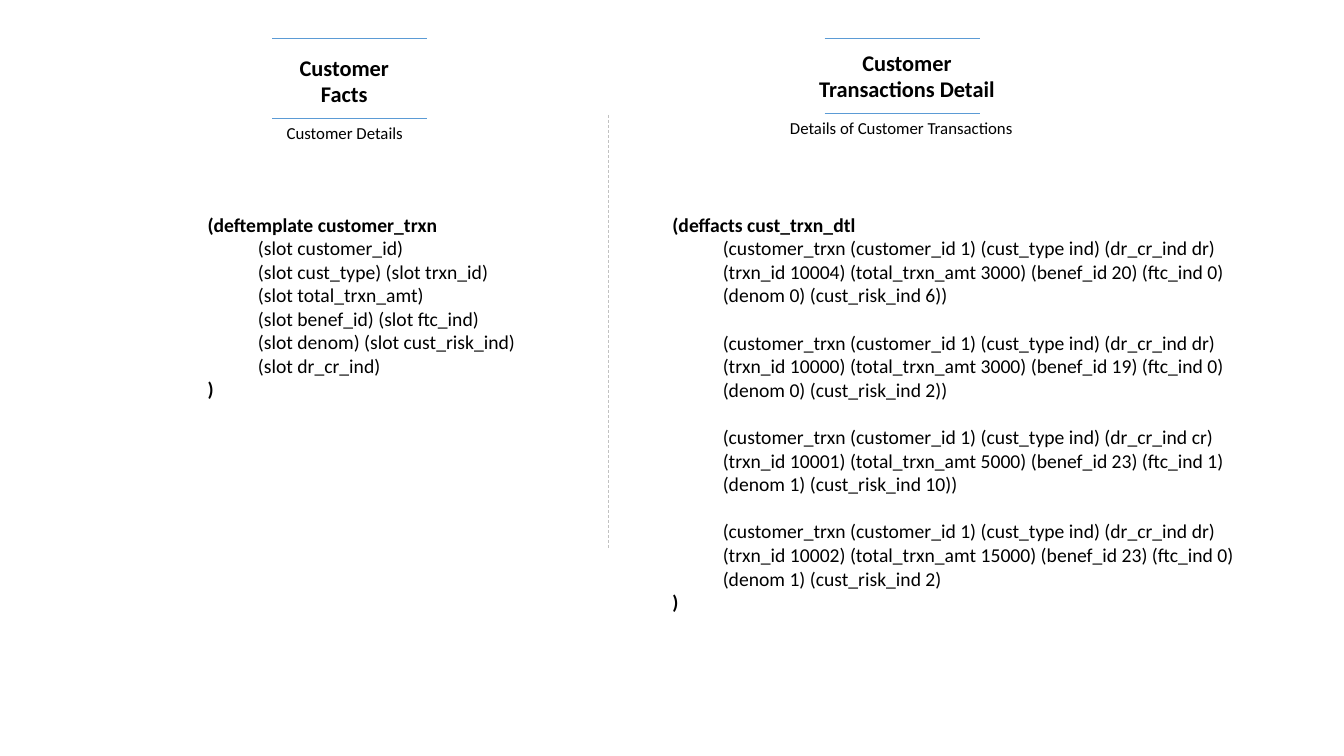
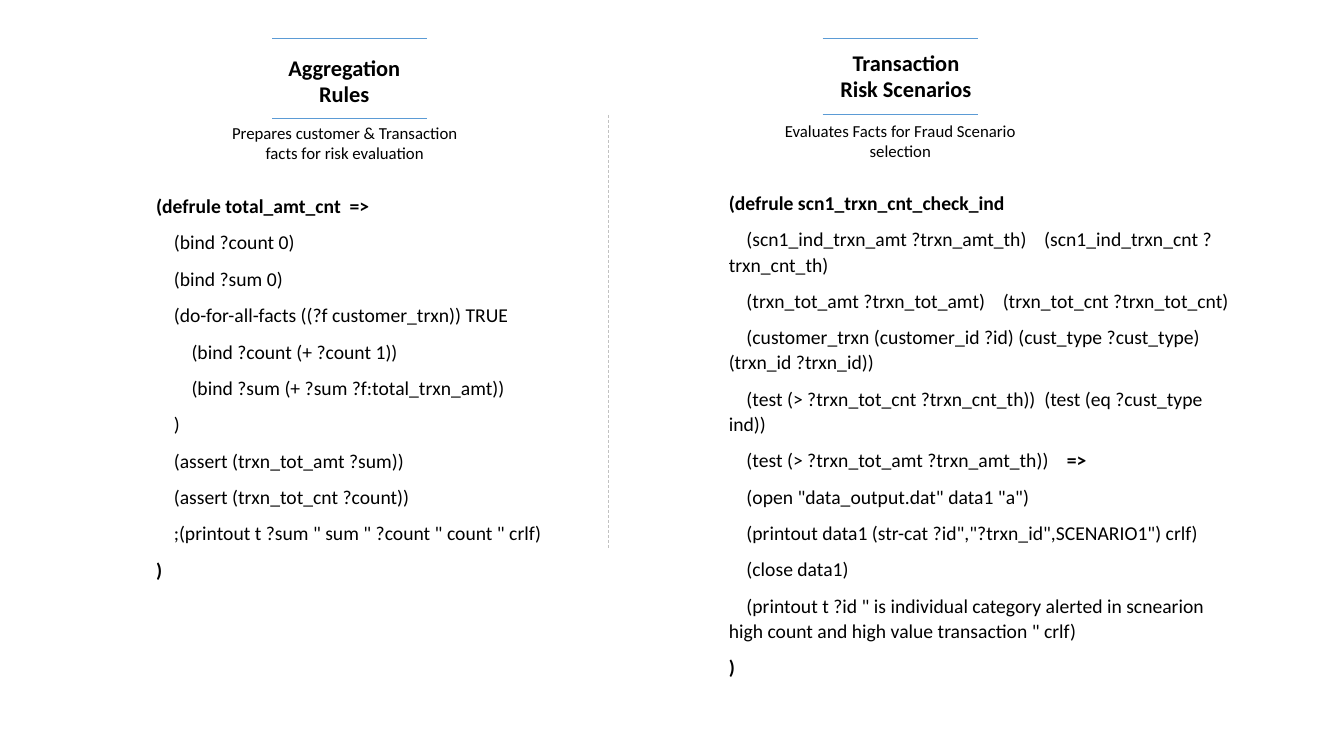
"""Build two slides that pair rule-engine code panels."""
from lxml.etree import SubElement
from pptx import Presentation
from pptx.dml.color import RGBColor
from pptx.enum.dml import MSO_LINE
from pptx.enum.shapes import MSO_CONNECTOR
from pptx.enum.text import MSO_ANCHOR, MSO_AUTO_SIZE, PP_ALIGN
from pptx.oxml.ns import qn
from pptx.util import Inches, Pt

FONT = "Calibri"
HUES = {"text": "000000", "rule": "5B9BD5", "split": "C1C1C1"}
TOP, SPAN = 0.38, 1.54

LEFT = {"rule": 2.7, "base": 1.17, "head": (2.7, 0.43, 1.43, 0.74)}
RIGHT = {"rule": 8.18, "base": 1.12, "head": (7.97, 0.38, 2.05, 0.74)}
RISK = {"rule": 8.16, "base": 1.13, "head": (7.96, 0.38, 2.05, 0.74)}

FACTS = {"indent": 0.5}
RULES = {"line": 1.07, "after": 8}

SLIDES = [
    [
        {
            "place": LEFT, "title": ["Customer Facts"],
            "note": "Customer Details", "note_at": (2.12, 1.17, 2.6, 0.3),
            "code_at": (1.96, 2.06, 3.52, 1.99), "style": FACTS,
            "code": [
                "(deftemplate customer_trxn",
                "(slot customer_id)",
                "(slot cust_type) (slot trxn_id)",
                "(slot total_trxn_amt)",
                "(slot benef_id) (slot ftc_ind)",
                "(slot denom) (slot cust_risk_ind) (slot dr_cr_ind)",
                ")",
            ],
        },
        {
            "place": RIGHT, "title": ["Customer Transactions Detail"],
            "note": "Details of Customer Transactions",
            "note_at": (7.64, 1.12, 2.6, 0.3),
            "code_at": (6.57, 2.06, 5.89, 4.11),
            "style": {"indent": 0.5, "gap": 17},
            "code": [
                "(deffacts cust_trxn_dtl",
                "(customer_trxn (customer_id 1) (cust_type ind) (dr_cr_ind dr) "
                "(trxn_id 10004) (total_trxn_amt 3000) (benef_id 20) (ftc_ind 0) "
                "(denom 0) (cust_risk_ind 6))",
                "(customer_trxn (customer_id 1) (cust_type ind) (dr_cr_ind dr) "
                "(trxn_id 10000) (total_trxn_amt 3000) (benef_id 19) (ftc_ind 0) "
                "(denom 0) (cust_risk_ind 2))",
                "(customer_trxn (customer_id 1) (cust_type ind) (dr_cr_ind cr) "
                "(trxn_id 10001) (total_trxn_amt 5000) (benef_id 23) (ftc_ind 1) "
                "(denom 1) (cust_risk_ind 10))",
                "(customer_trxn (customer_id 1) (cust_type ind) (dr_cr_ind dr) "
                "(trxn_id 10002) (total_trxn_amt 15000) (benef_id 23) (ftc_ind 0) "
                "(denom 1) (cust_risk_ind 2)",
                ")",
            ],
        },
    ],
    [
        {
            "place": LEFT, "title": ["Aggregation Rules"],
            "note": "Prepares customer & Transaction facts for risk evaluation",
            "note_at": (2.12, 1.17, 2.6, 0.5),
            "code_at": (1.45, 1.86, 4.03, 4), "style": RULES,
            "code": [
                "(defrule total_amt_cnt  =>",
                "    (bind ?count 0)",
                "    (bind ?sum 0)",
                "    (do-for-all-facts ((?f customer_trxn)) TRUE",
                "        (bind ?count (+ ?count 1))",
                "        (bind ?sum (+ ?sum ?f:total_trxn_amt))",
                "    )",
                "    (assert (trxn_tot_amt ?sum))",
                "    (assert (trxn_tot_cnt ?count))",
                '    ;(printout t ?sum " sum " ?count " count " crlf)',
                ")",
            ],
        },
        {
            "place": RISK, "title": ["Transaction", "Risk Scenarios"],
            "note": "Evaluates Facts for Fraud Scenario selection",
            "note_at": (7.63, 1.15, 2.6, 0.5),
            "code_at": (7.13, 1.83, 5.24, 5), "style": RULES,
            "code": [
                "(defrule scn1_trxn_cnt_check_ind",
                "    (scn1_ind_trxn_amt ?trxn_amt_th)    (scn1_ind_trxn_cnt ?trxn_cnt_th)",
                "    (trxn_tot_amt ?trxn_tot_amt)    (trxn_tot_cnt ?trxn_tot_cnt)",
                "    (customer_trxn (customer_id ?id) (cust_type ?cust_type) (trxn_id ?trxn_id))",
                "    (test (> ?trxn_tot_cnt ?trxn_cnt_th))  (test (eq ?cust_type ind))",
                ("    (test (> ?trxn_tot_amt ?trxn_amt_th))    ", "=>"),
                '    (open "data_output.dat" data1 "a")',
                '    (printout data1 (str-cat ?id","?trxn_id",SCENARIO1") crlf)',
                "    (close data1)",
                '    (printout t ?id " is individual category alerted in scnearion '
                'high count and high value transaction " crlf)',
                ")",
            ],
        },
    ],
]


def add_line(shapes, start, end, hue, dash=None):
    ends = [Inches(n) for n in (*start, *end)]
    line = shapes.add_connector(MSO_CONNECTOR.STRAIGHT, *ends)
    line.line.color.rgb = RGBColor.from_string(HUES[hue])
    line.line.width = Pt(0.5)
    if dash:
        line.line.dash_style = dash
    SubElement(line._element.spPr, qn("a:effectLst"))


def add_box(shapes, spot, grow=True):
    frame = shapes.add_textbox(*[Inches(n) for n in spot]).text_frame
    frame.word_wrap = True
    if grow:
        frame.auto_size = MSO_AUTO_SIZE.SHAPE_TO_FIT_TEXT
    else:
        frame.vertical_anchor = MSO_ANCHOR.MIDDLE
    return frame


def add_para(frame, index):
    return frame.add_paragraph() if index else frame.paragraphs[0]


def add_run(para, text, size, bold=False):
    run = para.add_run()
    run.text = text
    font = run.font
    font.name, font.size, font.bold = FONT, Pt(size), bold
    font.color.rgb = RGBColor.from_string(HUES["text"])


def add_label(frame, lines, size, bold=False):
    for index, text in enumerate(lines):
        para = add_para(frame, index)
        para.alignment = PP_ALIGN.CENTER
        add_run(para, text, size, bold)


def add_code(frame, lines, style):
    last = len(lines) - 1
    for index, line in enumerate(lines):
        para = add_para(frame, index)
        edge = index in (0, last)
        if "indent" in style and not edge:
            para.level = 1
            props = para._p.get_or_add_pPr()
            props.set("marL", str(Inches(style["indent"])))
            props.set("indent", "0")
        if "gap" in style and 1 < index < last:
            para.space_before = Pt(style["gap"])
        if "line" in style:
            para.line_spacing = style["line"]
            para.space_after = Pt(style["after"])
        parts = (line,) if isinstance(line, str) else line
        for order, text in enumerate(parts):
            add_run(para, text, 14, edge or order > 0)


def add_panel(shapes, panel):
    place = panel["place"]
    head = shapes.add_group_shape().shapes
    for y in (TOP, place["base"]):
        add_line(head, (place["rule"], y), (place["rule"] + SPAN, y), "rule")
    add_label(add_box(head, place["head"], grow=False), panel["title"], 16, True)
    add_label(add_box(shapes, panel["note_at"]), [panel["note"]], 12)
    add_code(add_box(shapes, panel["code_at"]), panel["code"], panel["style"])


def main():
    deck = Presentation()
    deck.slide_width, deck.slide_height = Inches(13.33), Inches(7.5)
    for panels in SLIDES:
        shapes = deck.slides.add_slide(deck.slide_layouts[6]).shapes
        add_line(shapes, (6.03, 1.14), (6.03, 5.44), "split", MSO_LINE.DASH)
        for panel in panels:
            add_panel(shapes, panel)
    deck.save("out.pptx")


if __name__ == "__main__":
    main()
